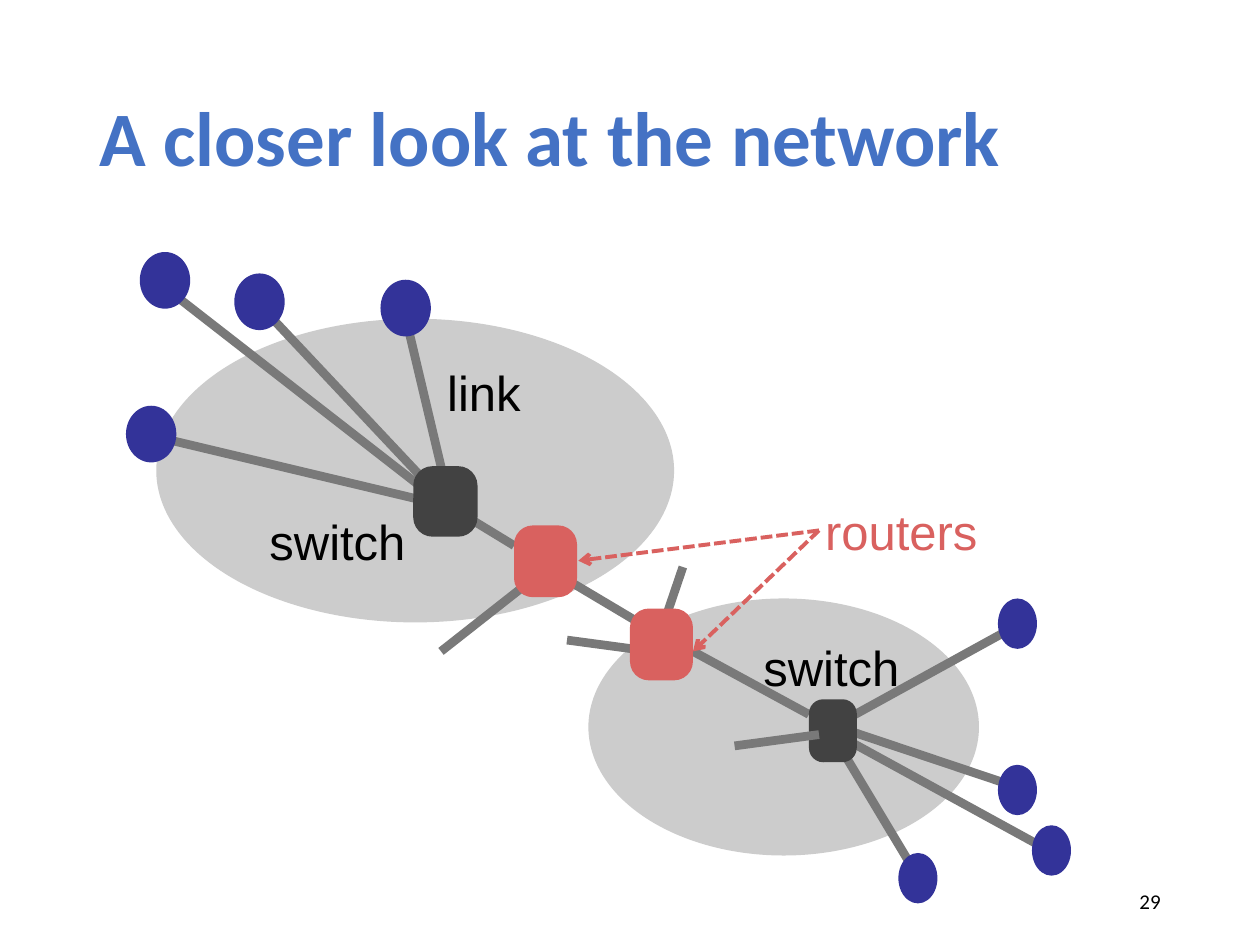
"""Slide: a closer look at the network, with hosts, links, switches and routers."""
from lxml import etree
from pptx import Presentation
from pptx.dml.color import RGBColor
from pptx.enum.dml import MSO_LINE
from pptx.enum.shapes import MSO_CONNECTOR, MSO_SHAPE
from pptx.enum.text import MSO_ANCHOR, MSO_AUTO_SIZE, PP_ALIGN
from pptx.oxml.ns import qn
from pptx.util import Cm, Pt

OVAL, ROUND = MSO_SHAPE.OVAL, MSO_SHAPE.ROUNDED_RECTANGLE
LINE, DASH = MSO_CONNECTOR.STRAIGHT, MSO_LINE.SQUARE_DOT
MIDDLE, LEFT, RIGHT = MSO_ANCHOR.MIDDLE, PP_ALIGN.LEFT, PP_ALIGN.RIGHT
GROW = MSO_AUTO_SIZE.SHAPE_TO_FIT_TEXT

COLORS = {"title": "4472C4", "text": "000000", "cloud": "CCCCCC", "link": "797979",
          "host": "333399", "switch": "424242", "router": "D9615F"}

TITLE = ("A closer look at the network", (0.69, 0.4, 8.62, 1.45))
NUMBER = ("29", (7.06, 6.95, 2.25, 0.4))
LABELS = [("switch", 6, 5, 1.2, "text"), ("link", 3.49, 2.82, 0.74, "text"),
          ("routers", 6.49, 3.92, 1.36, "router"), ("switch", 2.08, 4, 1.2, "text")]
CLOUDS = [(4.67, 4.75, 3.1, 2.04), (1.24, 2.53, 4.11, 2.41)]
LINKS = [
    (3.22, 2.52, 3.58, 4.04), (1.21, 3.46, 3.48, 4), (1.32, 2.29, 3.44, 3.94),
    (2.06, 2.42, 3.48, 3.93), (4.33, 4.5, 5.17, 5), (8.36, 6.77, 6.59, 5.8),
    (8.06, 4.97, 6.57, 5.79), (6.62, 5.85, 7.28, 6.95), (8.05, 6.24, 6.62, 5.76),
    (5.5, 5.17, 6.42, 5.67), (4.08, 4.33, 3.67, 4.08), (4.25, 4.58, 3.5, 5.17),
    (5.17, 5.17, 4.5, 5.08), (5.25, 5, 5.42, 4.5)]
STUB = (5.83, 5.92, 6.5, 5.83)
HOSTS = {(0.4, 0.45): [(1, 3.22), (1.11, 2), (1.86, 2.17), (3.02, 2.22)],
         (0.31, 0.4): [(7.92, 4.75), (7.13, 6.77), (7.92, 6.07), (8.19, 6.55)]}
BOXES = [("switch", (6.42, 5.55, 0.38, 0.5)), ("switch", (3.28, 3.7, 0.51, 0.56)),
         ("router", (4.08, 4.17, 0.5, 0.57)), ("router", (5, 4.83, 0.5, 0.57))]
SOURCE = (6.5, 4.21)
TARGETS = [(4.59, 4.45), (5.5, 5.17)]


def scale(box):
    return [Cm(2.54 * v) for v in box]


def color(key):
    return RGBColor.from_string(COLORS[key])


def shape(kind, box, key):
    item = slide.shapes.add_shape(kind, *scale(box))
    item.shadow.inherit = False
    item.fill.solid()
    item.fill.fore_color.rgb = color(key)
    item.line.fill.background()
    if kind == ROUND:
        item.adjustments[0] = 0.3


def line(ends, key="link", width=5, arrow=False):
    item = slide.shapes.add_connector(LINE, *scale(ends))
    item.line.color.rgb = color(key)
    item.line.width = Pt(width)
    if arrow:
        item.line.dash_style = DASH
        tail = etree.SubElement(item.line._get_or_add_ln(), qn("a:tailEnd"))
        tail.set("type", "arrow")
    etree.SubElement(item._element.spPr, qn("a:effectLst"))


def text(words, box, size, font, key, bold=False, align=LEFT, label=False):
    frame = slide.shapes.add_textbox(*scale(box)).text_frame
    frame.word_wrap = not label
    frame.vertical_anchor = MIDDLE
    if label:
        frame.auto_size = GROW
        frame.margin_left = frame.margin_right = Cm(0.15)
        frame.margin_top = frame.margin_bottom = Cm(0.15)
    para = frame.paragraphs[0]
    para.alignment = align
    run = para.add_run()
    run.text = words
    run.font.size = Pt(size)
    run.font.name = font
    run.font.bold = bold
    run.font.color.rgb = color(key)
    return para


deck = Presentation()
deck.slide_width, deck.slide_height = scale((10, 7.5))
slide = deck.slides.add_slide(deck.slide_layouts[6])

text(*TITLE, 44, "Calibri", "title", bold=True).line_spacing = 0.9
text(*NUMBER, 12, "Calibri", "text", align=RIGHT)
for cloud in CLOUDS:
    shape(OVAL, cloud, "cloud")
for words, x, y, width, key in LABELS:
    text(words, (x, y, width, 0.58), 28, "Arial", key, label=True)
for link in LINKS:
    line(link)
for size, spots in HOSTS.items():
    for spot in spots:
        shape(OVAL, spot + size, "host")
for key, box in BOXES:
    shape(ROUND, box, key)
line(STUB)
for target in TARGETS:
    line(SOURCE + target, "router", 2.25, arrow=True)

deck.save("out.pptx")
